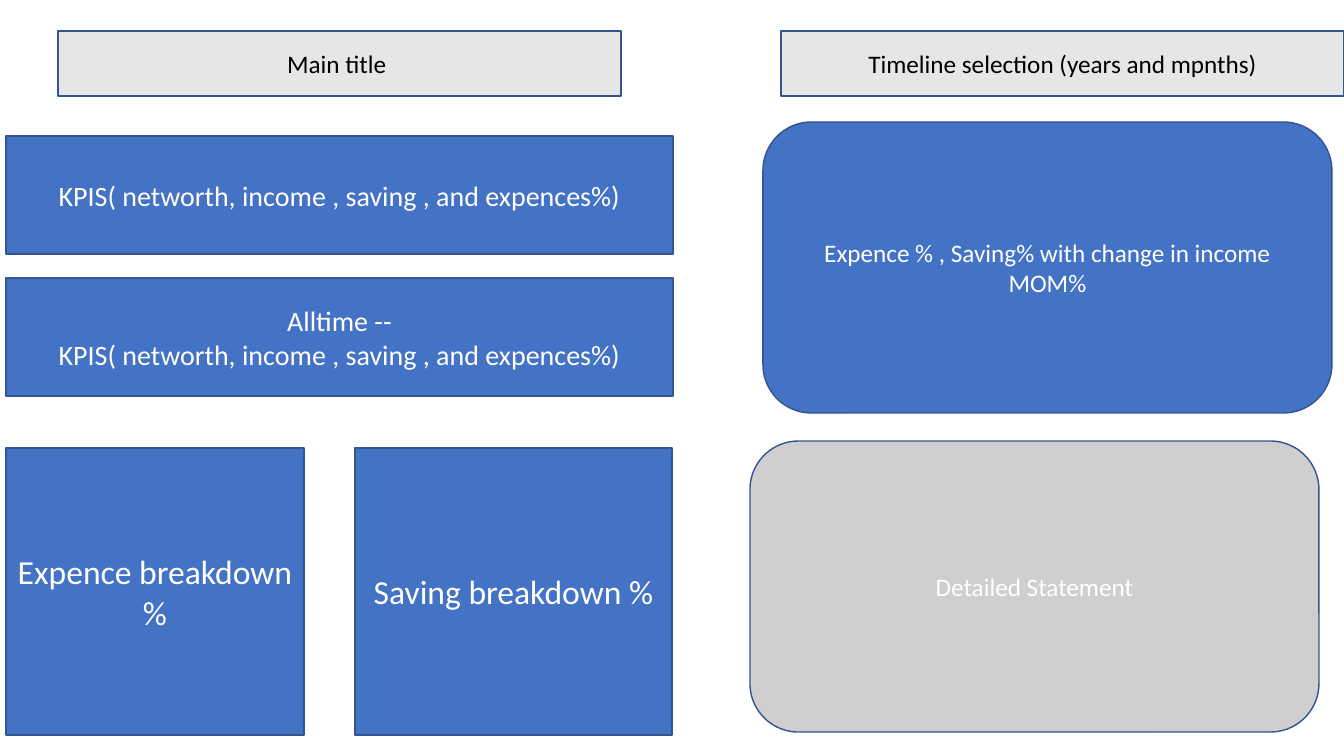
from pptx import Presentation
from pptx.dml.color import RGBColor
from pptx.enum.shapes import MSO_SHAPE
from pptx.enum.text import MSO_ANCHOR, MSO_AUTO_SIZE, PP_ALIGN
from pptx.util import Pt

RECT, ROUND = MSO_SHAPE.RECTANGLE, MSO_SHAPE.ROUNDED_RECTANGLE
MIDDLE, CENTER = MSO_ANCHOR.MIDDLE, PP_ALIGN.CENTER
NO_FIT = MSO_AUTO_SIZE.NONE
PX = 914400 / 100.8
BLUE, OUTLINE, PALE, GRAY = "4472C4", "325491", "E7E6E6", "D0CECE"
WHITE, BLACK = "FFFFFF", "000000"
KPIS = "KPIS( networth, income , saving , and expences%)"


def px(n):
    return round(n * PX)


def rgb(color):
    return RGBColor.from_string(color)


def style(sp, text, size, fill, color):
    """Fill, outline and centred text shared by every panel."""
    sp.fill.solid()
    sp.fill.fore_color.rgb = rgb(fill)
    sp.line.color.rgb = rgb(OUTLINE)
    sp.line.width = Pt(1)
    tf = sp.text_frame
    tf.text = text
    tf.word_wrap = True
    tf.auto_size = NO_FIT
    tf.vertical_anchor = MIDDLE
    for p in tf.paragraphs:
        p.alignment = CENTER
        for r in p.runs:
            r.font.name = "Calibri"
            r.font.size = Pt(size)
            r.font.color.rgb = rgb(color)


def panel(s, kind, box, text, size, fill=BLUE, color=WHITE):
    sp = s.shapes.add_shape(kind, *map(px, box))
    sp.shadow.inherit = False
    style(sp, text, size, fill, color)


def header(s, x, y, w, h):
    """Title on the left, timeline selector on the right."""
    box_w = 563
    title = s.shapes.title
    title.left, title.top, title.width, title.height = map(px, (x, y, box_w, h))
    style(title, "Main title\u00a0", 18, PALE, BLACK)
    panel(s, RECT, (x + w - box_w, y, box_w, h),
          "Timeline selection (years and mpnths)", 18, PALE, BLACK)


def kpi_bars(s, x, y, w, h):
    """Two stacked bars of equal height."""
    gap = 24
    bar_h = (h - gap) / 2
    for i, text in enumerate((KPIS, "Alltime --\n" + KPIS)):
        panel(s, RECT, (x, y + i * (bar_h + gap), w, bar_h), text, 20)


def breakdowns(s, x, y, w, h):
    """Expense and saving panels side by side."""
    left_w, right_w = 298, 317
    panel(s, RECT, (x, y, left_w, h), "Expence breakdown %", 24)
    panel(s, RECT, (x + w - right_w, y, right_w, h), "Saving breakdown %", 24)


def details(s, x, y, w, h):
    """Monthly change above the statement, which sits slightly to the left."""
    card_w, card_h = 569, 291
    panel(s, ROUND, (x + w - card_w, y, card_w, card_h),
          "Expence % , Saving% with change in income MOM%", 18)
    panel(s, ROUND, (x, y + h - card_h, card_w, card_h),
          "Detailed Statement", 18, GRAY)


prs = Presentation()
prs.slide_width, prs.slide_height = px(1344), px(756)
s = prs.slides.add_slide(prs.slide_layouts[5])
header(s, 58, 31, 1286, 65)
kpi_bars(s, 6, 136, 667, 260)
breakdowns(s, 6, 448, 666, 287)
details(s, 750, 122, 582, 610)
prs.save("out.pptx")
